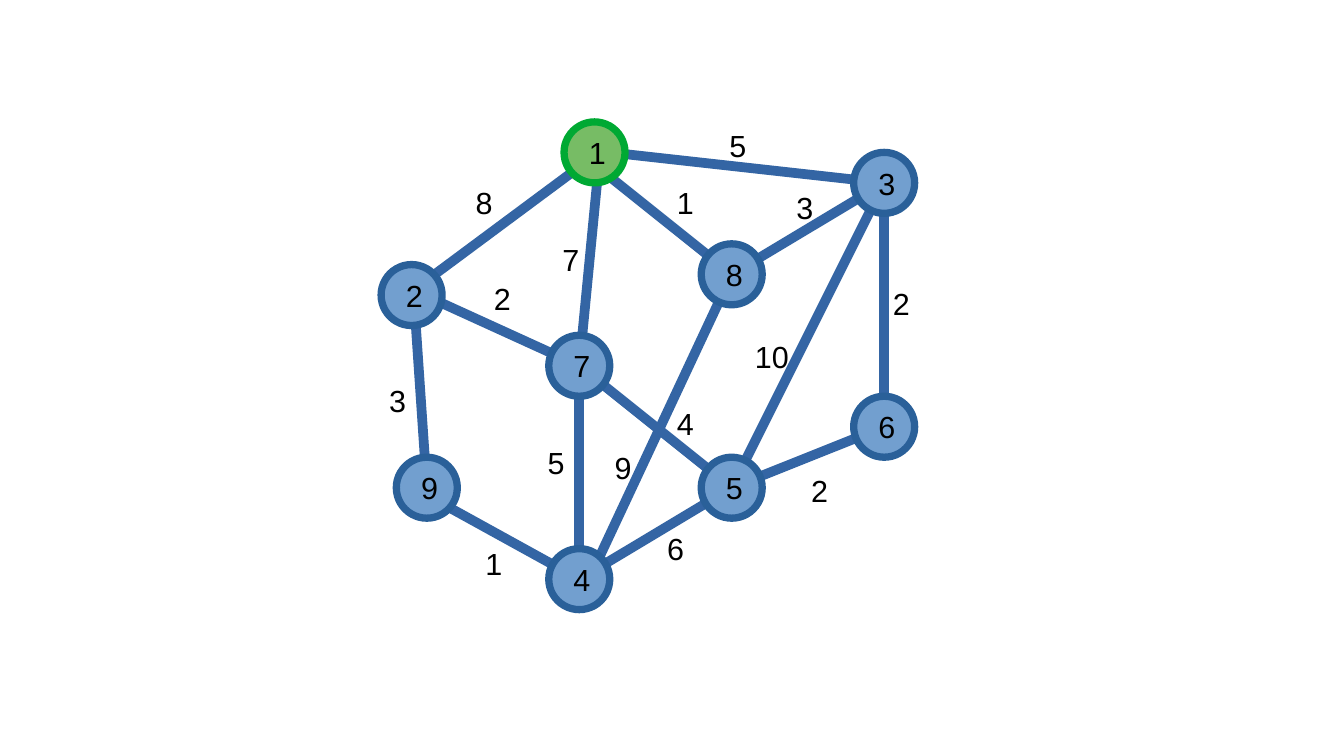
from dataclasses import dataclass
from pptx import Presentation
from pptx.dml.color import RGBColor as Rgb
from pptx.enum.shapes import MSO_CONNECTOR as Link, MSO_SHAPE as Shape
from pptx.enum.text import MSO_ANCHOR as Anchor, MSO_AUTO_SIZE as Auto, PP_ALIGN as Align
from pptx.util import Inches, Pt
from lxml import etree


@dataclass(frozen=True)
class Theme:
    font: str = "Arial"
    size: float = 18
    ink: str = "000000"
    edge: str = "3465A4"
    node: tuple = ("729FCF", "2A6099")
    start: tuple = ("77BC65", "00A933")
    thick: float = 5.75
    rim: float = 4.31


THEME = Theme()
CELL = 0.25  # inches per grid column and row

# Node: centre as grid column and row
NODES = {
    1: (19.5, 5), 2: (13.5, 9.68), 3: (29, 6), 5: (24, 16), 4: (19, 19),
    6: (29, 14), 7: (19, 12), 8: (24, 9), 9: (14, 16),
}

# Two nodes, weight, centre of the weight label
EDGES = [
    (4, 5, 6, (22.16, 18)),
    (6, 3, 2, (29.56, 9.96)),
    (5, 7, 4, (22.48, 13.88)),
    (5, 6, 2, (26.88, 16.08)),
    (5, 3, 10, (25.32, 11.68)),
    (4, 8, 9, (20.44, 15.32)),
    (4, 9, 1, (16.2, 18.48)),
    (7, 1, 7, (18.72, 8.52)),
    (8, 3, 3, (26.4, 6.8)),
    (8, 1, 1, (22.48, 6.64)),
    (9, 2, 3, (13.04, 13.12)),
    (4, 7, 5, (18.24, 15.16)),
    (7, 2, 2, (16.48, 9.8)),
    (3, 1, 5, (24.2, 4.76)),
    (2, 1, 8, (15.88, 6.64)),
]

# Where an edge ends off centre: (node, other node) to grid offset
SHIFT = {
    (1, 2): (-0.5, 0.48), (1, 3): (0.5, 0), (1, 7): (0.18, 0),
    (1, 8): (-0.5, 0), (4, 8): (0.32, 0), (9, 4): (-0.44, 0),
    (2, 1): (0.06, -0.16), (2, 7): (0.06, -0.16), (2, 9): (0.06, -0.16),
}


def grid(*cells):
    return [Inches(cell * CELL) for cell in cells]


def box(mid, wide, high):
    """Left, top, width and height of a box centred on a grid point."""
    return grid(mid[0] - wide / 2, mid[1] - high / 2, wide, high)


def end(node, other):
    (x, y), (dx, dy) = NODES[node], SHIFT.get((node, other), (0, 0))
    return grid(x + dx, y + dy)


def write(shape, text, side, top):
    """Put centred text in a shape with the given insets in inches."""
    frame = shape.text_frame
    frame.text = str(text)
    frame.word_wrap = True
    frame.vertical_anchor = Anchor.MIDDLE
    frame.margin_left = frame.margin_right = Inches(side)
    frame.margin_top = frame.margin_bottom = Inches(top)
    para = frame.paragraphs[0]
    para.alignment = Align.CENTER
    font = para.runs[0].font
    font.name, font.size = THEME.font, Pt(THEME.size)
    font.color.rgb = Rgb.from_string(THEME.ink)


def stroke(line, color, width):
    line.color.rgb = Rgb.from_string(color)
    line.width = Pt(width)


def add_edge(slide, one, two):
    link = slide.shapes.add_connector(Link.STRAIGHT, *end(one, two), *end(two, one))
    stroke(link.line, THEME.edge, THEME.thick)
    props = link.line._get_or_add_ln().getparent()
    space = etree.QName(props[0]).namespace
    etree.SubElement(props, f"{{{space}}}effectLst")


def add_node(slide, name, mid):
    fill, rim = THEME.start if name == 1 else THEME.node
    node = slide.shapes.add_shape(Shape.OVAL, *box(mid, 2, 2))
    node.shadow.inherit = False
    node.fill.solid()
    node.fill.fore_color.rgb = Rgb.from_string(fill)
    stroke(node.line, rim, THEME.rim)
    write(node, name, 0.13, 0.08)


def add_label(slide, text, mid):
    label = slide.shapes.add_textbox(*box(mid, 2, 1.5))
    write(label, text, 0.1, 0.05)
    label.text_frame.auto_size = Auto.SHAPE_TO_FIT_TEXT


def main():
    deck = Presentation()
    deck.slide_width, deck.slide_height = Inches(11.02), Inches(6.2)
    slide = deck.slides.add_slide(deck.slide_layouts[6])
    for one, two, _, _ in EDGES:
        add_edge(slide, one, two)
    for name, mid in NODES.items():
        add_node(slide, name, mid)
    for _, _, cost, mid in EDGES:
        add_label(slide, cost, mid)
    deck.save("out.pptx")


if __name__ == "__main__":
    main()
